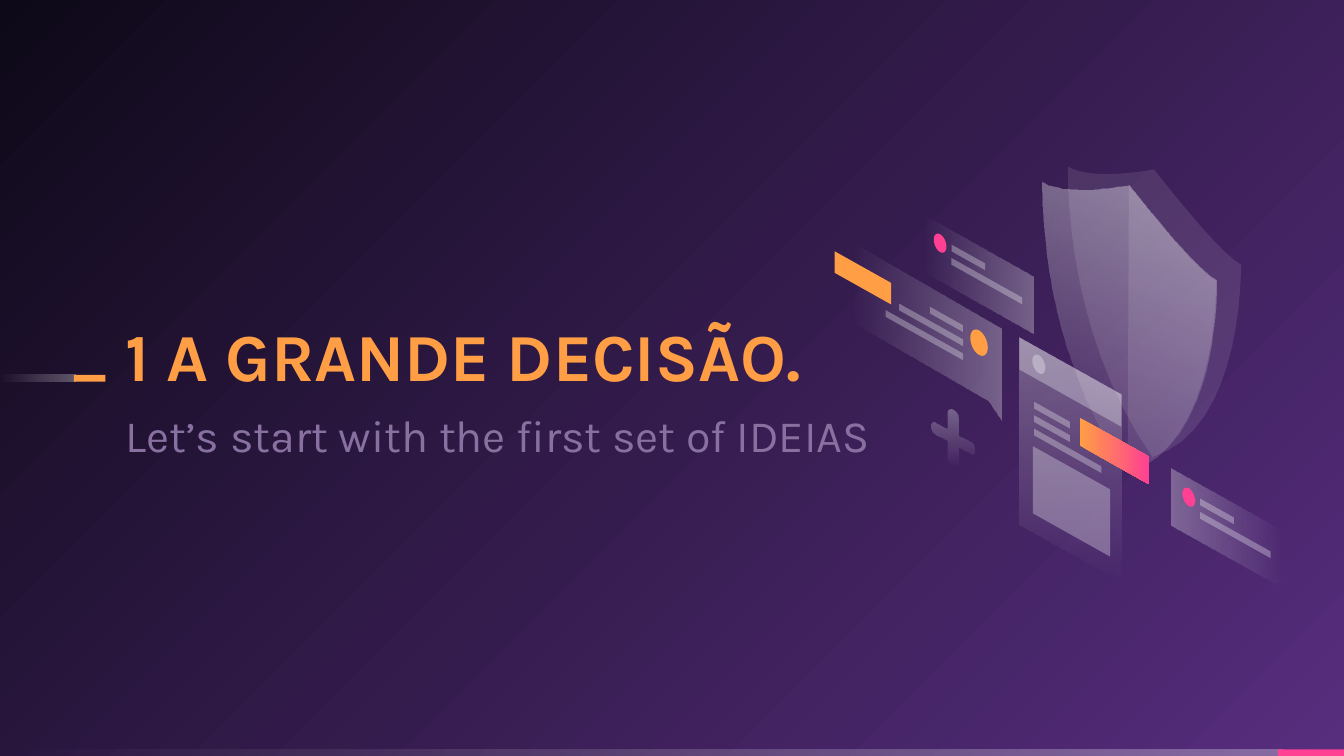
import dataclasses
import math

import lxml.etree
import pptx
import pptx.dml.color
import pptx.enum.shapes
import pptx.enum.text
import pptx.oxml
import pptx.oxml.ns
import pptx.util

COLUMNS, ROWS = 100, 56.25
CELL = pptx.util.Inches(0.1)
SLOPE = 0.56


@dataclasses.dataclass(frozen=True)
class Paint:
    stops: tuple
    angle: int = 0
    radial: bool = False


@dataclasses.dataclass(frozen=True)
class Theme:
    font: str = "Karla"
    title_size: int = 36
    subtitle_size: int = 24
    orange: str = "FF9E44"
    pink: str = "FF4093"
    lilac: str = "8870A0"
    white: str = "FFFFFF"
    violet: str = "572D7E"
    night: str = "0E0918"

    def solid(self, color, alpha=100):
        return Paint(((color, alpha),))

    def fade(self, angle, alpha=30):
        return Paint(((self.white, alpha), (self.white, 0)), angle)

    def blend(self, first, last, radial=False):
        return Paint(((first, 100), (last, 100)), 0, radial)


def assign(target, values):
    for name, value in values.items():
        setattr(target, name, value)


def cells(*lengths):
    return [int(round(length * CELL)) for length in lengths]


def trace(start, segments, steps=12):
    points = [start]
    for segment in segments:
        if len(segment) == 2:
            points.append(segment)
            continue
        corners = [points[-1], segment[:2], segment[2:4], segment[4:]]
        for step in range(1, steps + 1):
            t = step / steps
            weights = [math.comb(3, k) * t**k * (1 - t) ** (3 - k) for k in range(4)]
            points.append(tuple(sum(w * corner[axis] for w, corner in zip(weights, corners))
                                for axis in (0, 1)))
    return points


class Slide:
    def __init__(self, deck, theme):
        self.theme = theme
        self.page = deck.slides.add_slide(deck.slide_layouts[0])
        self.shapes = self.page.shapes

    def start_group(self):
        self.shapes = self.page.shapes.add_group_shape().shapes

    def paint(self, root, paint):
        solid = root.find(".//" + pptx.oxml.ns.qn("a:solidFill"))
        colors = [f'<a:srgbClr val="{color}"><a:alpha val="{alpha * 1000}"/></a:srgbClr>'
                  for color, alpha in paint.stops]
        namespace = pptx.oxml.ns.nsdecls("a")
        if len(colors) == 1:
            xml = f"<a:solidFill {namespace}>{colors[0]}</a:solidFill>"
        else:
            stops = "".join(f'<a:gs pos="{position}">{color}</a:gs>'
                            for position, color in zip((0, 100000), colors))
            direction = f'<a:lin ang="{paint.angle * 60000}" scaled="0"/>'
            if paint.radial:
                direction = ('<a:path path="circle"><a:fillToRect l="100000" t="100000"/></a:path>'
                             '<a:tileRect r="-100000" b="-100000"/>')
            xml = f"<a:gradFill {namespace}><a:gsLst>{stops}</a:gsLst>{direction}</a:gradFill>"
        solid.getparent().replace(solid, pptx.oxml.parse_xml(xml))

    def background(self, paint):
        self.page.background.fill.solid()
        self.paint(self.page._element.cSld, paint)

    def finish(self, shape, paint):
        shape.shadow.inherit = False
        shape.line.fill.background()
        shape.fill.solid()
        self.paint(shape._element.spPr, paint)

    def strip(self, left, top, width, height, paint):
        kind = pptx.enum.shapes.MSO_SHAPE.RECTANGLE
        self.finish(self.shapes.add_shape(kind, *cells(left, top, width, height)), paint)

    def outline(self, points, paint):
        first, *rest = [cells(*point) for point in points]
        builder = self.shapes.build_freeform(*first, scale=1.0)
        builder.add_line_segments(rest, close=True)
        self.finish(builder.convert_to_shape(), paint)

    def panel(self, left, top, width, height, paint):
        right, drop = left + width, width * SLOPE
        self.outline([(left, top), (right, top + drop), (right, top + drop + height),
                      (left, top + height)], paint)

    def dot(self, x, y, radius, paint):
        turns = [math.tau * step / 36 for step in range(36)]
        self.outline([(x + radius * math.cos(turn),
                       y + radius * (SLOPE * math.cos(turn) + 1.4 * math.sin(turn)))
                      for turn in turns], paint)

    def message(self, left, top, angle):
        self.panel(left, top, 8.2, 4.25, self.theme.fade(angle))
        for row, width in ((2.2, 2.5), (3.2, 5.25)):
            self.panel(left + 2.1, top + row, width, 0.5, self.theme.solid(self.theme.white, 30))
        self.dot(left + 1.25, top + 2.1, 0.47, self.theme.solid(self.theme.pink))

    def text(self, index, area, words, font, paragraph, anchor):
        box = self.page.placeholders[index]
        assign(box, dict(zip(("left", "top", "width", "height"), cells(*area))))
        frame = box.text_frame
        assign(frame, {"margin_left": 0, "margin_right": 0, "margin_top": 0, "margin_bottom": 0,
                       "word_wrap": True, "vertical_anchor": anchor,
                       "auto_size": pptx.enum.text.MSO_AUTO_SIZE.NONE})
        para = frame.paragraphs[0]
        assign(para, {"alignment": pptx.enum.text.PP_ALIGN.LEFT,
                      "space_before": pptx.util.Pt(0), **paragraph})
        span = para.add_run()
        span.text = words
        color = font.pop("color")
        assign(span.font, {"name": self.theme.font, **font})
        span.font.color.rgb = pptx.dml.color.RGBColor.from_string(color)


def draw_frame(slide, theme):
    slide.background(theme.blend(theme.violet, theme.night, radial=True))
    slide.strip(0, ROWS - 0.5, 95.4, 0.5, theme.fade(180))
    slide.strip(95.1, ROWS - 0.5, 4.9, 0.5, theme.solid(theme.pink))
    slide.start_group()
    slide.strip(0, 27.9, 5.6, 0.5, theme.fade(180))
    slide.strip(5.5, 27.9, 2.35, 0.5, theme.solid(theme.orange))


def draw_words(slide, theme):
    anchors = pptx.enum.text.MSO_ANCHOR
    slide.text(0, (9.35, 16.8, 55.9, 12.7), "1 A GRANDE DECISÃO.",
               {"size": pptx.util.Pt(theme.title_size), "bold": True, "color": theme.orange},
               {"line_spacing": 0.9}, anchors.BOTTOM)
    slide.text(1, (9.35, 29.7, 55.9, 4.7), "Let’s start with the first set of IDEIAS",
               {"size": pptx.util.Pt(theme.subtitle_size), "color": theme.lilac},
               {"line_spacing": 1.15, "space_after": pptx.util.Pt(8)}, anchors.TOP)


def draw_shield(slide, theme):
    left_side = trace((84, 13.8), [(82.5, 14.1, 79.1, 14.5, 77.6, 13.6),
                                   (77.6, 19.6, 79, 28.2, 83.9, 35.2)])
    right_side = trace((83.9, 35.2), [(88.8, 33.7, 90.4, 26.9, 90.5, 20.9),
                                      (89, 20.1, 85.6, 15.8, 84, 13.8)])
    shield = left_side + right_side[1:-1]
    slide.outline([(x + 1.85, y - 1.2) for x, y in shield], theme.solid(theme.white, 10))
    slide.outline(shield, theme.fade(110, 40))
    slide.outline(right_side, theme.solid(theme.white, 10))


def draw_document(slide, theme):
    glass = theme.solid(theme.white, 30)
    slide.panel(75.85, 25.1, 7.6, 13.9, theme.fade(90))
    slide.panel(76.85, 33.2, 5.75, 5, glass)
    for row, width in enumerate((2.65, 2.65, 5)):
        slide.panel(76.95, 29.9 + row, width, 0.5, glass)
    slide.panel(75.85, 25.1, 7.6, 2.4, glass)
    slide.dot(77.3, 27.1, 0.48, glass)
    slide.panel(80.35, 31.1, 5.15, 2.05, theme.blend(theme.orange, theme.pink))


def draw_bubble(slide, theme):
    slide.outline([(74.5, 24.5), (63.3, 18), (63.3, 23.9), (73.5, 29.8), (74.5, 31.3)],
                  theme.fade(180))
    slide.panel(62.1, 18.7, 4.2, 1.6, theme.solid(theme.orange))
    for row, width in enumerate((2.45, 4.75, 5.75)):
        slide.panel(71.65 - width, 24.2 + 1.05 * row - width * SLOPE, width, 0.5,
                    theme.solid(theme.white, 30))
    slide.dot(72.85, 25.5, 0.65, theme.solid(theme.orange))


def draw_plus(slide, theme):
    half = trace((70.9, 30.5), [(71.1, 30.6, 71.3, 30.9, 71.3, 31.2), (71.3, 32.4), (72.1, 32.8),
                                (72.3, 32.9, 72.5, 33.2, 72.5, 33.5),
                                (72.5, 33.8, 72.3, 33.9, 72.1, 33.7), (71.3, 33.3), (71.3, 34.5),
                                (71.3, 34.7, 71.1, 34.8, 70.9, 34.7)])
    slide.outline(half + [(141.8 - x, 65.2 - y) for x, y in half[1:-1]], theme.fade(90))


def main():
    deck = pptx.Presentation()
    assign(deck, {"slide_width": COLUMNS * CELL, "slide_height": int(ROWS * CELL)})
    theme = Theme()
    slide = Slide(deck, theme)
    draw_frame(slide, theme)
    draw_words(slide, theme)
    slide.start_group()
    slide.message(68.7, 16, 180)
    slide.message(87.2, 34.9, 0)
    for draw in (draw_shield, draw_document, draw_bubble, draw_plus):
        draw(slide, theme)
    deck.save("out.pptx")


if __name__ == "__main__":
    main()
